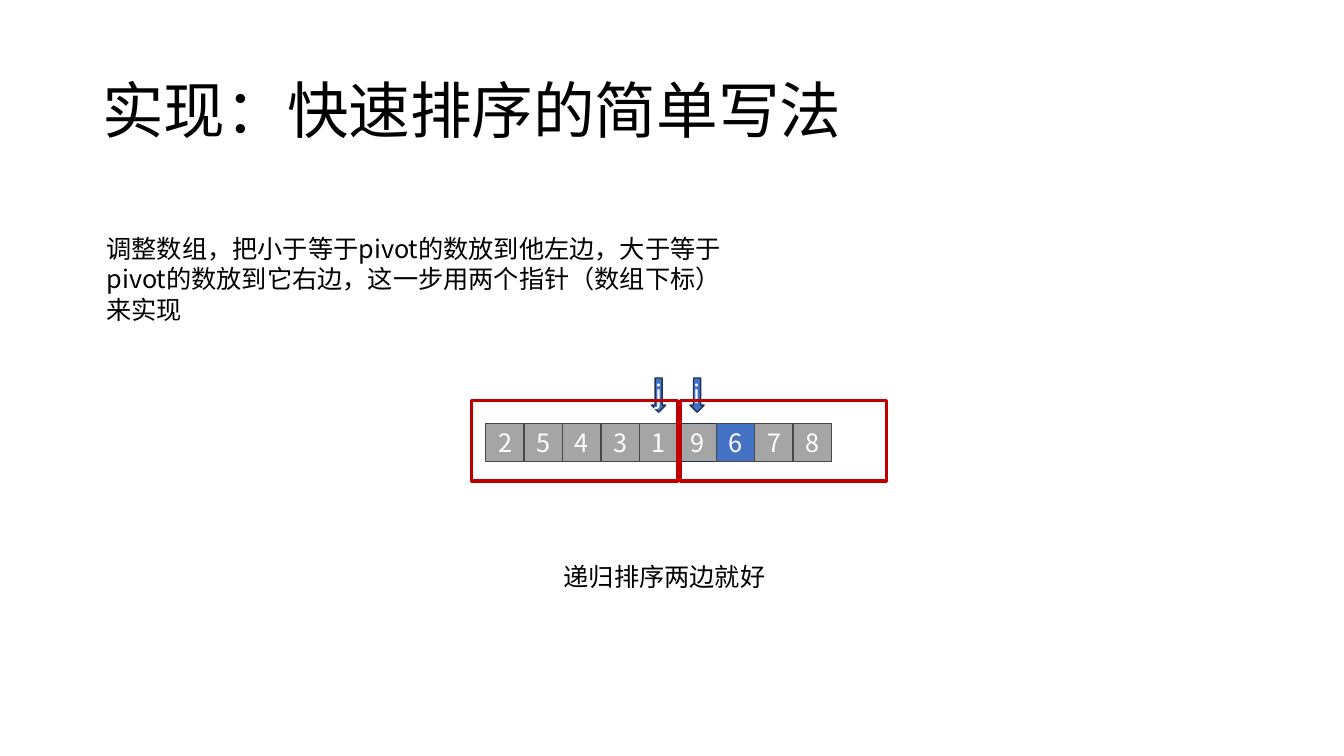
from pptx import Presentation
from pptx.dml.color import RGBColor
from pptx.enum.shapes import MSO_SHAPE as Shape
from pptx.enum.text import MSO_ANCHOR as Anchor, PP_ALIGN as Align
from pptx.oxml.ns import qn
from pptx.util import Pt
from lxml.etree import SubElement

FONT = "Noto Sans CJK SC"
BLACK, WHITE, RED = "000000", "FFFFFF", "C00000"
GRAY, BLUE, DARK, NAVY = "A5A5A5", "4472C4", "484848", "1E3256"

TITLE = "实现：快速排序的简单写法"
STEP = "调整数组，把小于等于pivot的数放到他左边，大于等于pivot的数放到它右边，这一步用两个指针（数组下标）来实现"
CONCLUSION = "递归排序两边就好"
NUMBERS = [2, 5, 4, 3, 1, 9, 6, 7, 8]
PIVOT = 6
POINTERS = {"i": 9, "j": 1}
HALVES_LEFT = [337, 486]

CELL, PITCH = 27.4, 27.45
ARRAY_LEFT, ARRAY_TOP = 347, 302.4
ARROW_WIDTH, ARROW_HEIGHT, ARROW_TOP = 10.1, 24.5, 270


def color(value):
    return RGBColor.from_string(value)


def write(box, text, size=18, ink=WHITE, align=Align.CENTER, anchor=Anchor.MIDDLE,
          spacing=None, before=None):
    frame = box.text_frame
    frame.word_wrap = True
    frame.vertical_anchor = anchor
    para = frame.paragraphs[0]
    para.alignment = align
    para.line_spacing = spacing
    para.space_before = before
    span = para.add_run()
    span.text = text
    span.font.size = Pt(size)
    span.font.name = FONT
    span.font.color.rgb = color(ink)
    SubElement(span.font._element, qn("a:ea"), typeface=FONT)


def add_text(page, left, top, width, height, text, **style):
    box = page.shapes.add_textbox(Pt(left), Pt(top), Pt(width), Pt(height))
    write(box, text, ink=BLACK, **style)


def add_block(page, kind, left, top, width, height, fill=None, line=DARK, weight=1):
    block = page.shapes.add_shape(kind, Pt(left), Pt(top), Pt(width), Pt(height))
    block.shadow.inherit = False
    if fill:
        block.fill.solid()
        block.fill.fore_color.rgb = color(fill)
    else:
        block.fill.background()
    block.line.color.rgb = color(line)
    block.line.width = Pt(weight)
    return block


def main():
    deck = Presentation()
    deck.slide_width, deck.slide_height = Pt(960), Pt(540)
    page = deck.slides.add_slide(deck.slide_layouts[6])

    add_text(page, 66, 28.75, 828, 104.4, TITLE, size=44, align=Align.LEFT, spacing=0.9)
    add_text(page, 69, 163.5, 463, 72.7, STEP, align=Align.LEFT, anchor=Anchor.TOP,
             spacing=Pt(21.5), before=Pt(18))

    for index, number in enumerate(NUMBERS):
        cell = add_block(page, Shape.RECTANGLE, ARRAY_LEFT + index * PITCH, ARRAY_TOP,
                         CELL, CELL, fill=BLUE if number == PIVOT else GRAY,
                         line=NAVY if number == POINTERS["i"] else DARK)
        write(cell, str(number))

    for name, number in POINTERS.items():
        center = ARRAY_LEFT + NUMBERS.index(number) * PITCH + CELL / 2
        arrow = add_block(page, Shape.DOWN_ARROW, center - ARROW_WIDTH / 2, ARROW_TOP,
                          ARROW_WIDTH, ARROW_HEIGHT, fill=BLUE, line=NAVY)
        write(arrow, name)

    add_text(page, 246.25, 397.5, 457, 29, CONCLUSION, anchor=Anchor.TOP,
             spacing=Pt(21.5), before=Pt(18))

    for left in HALVES_LEFT:
        add_block(page, Shape.RECTANGLE, left, 286, 147, 57.6, line=RED, weight=2.25)

    deck.save("out.pptx")


if __name__ == "__main__":
    main()
